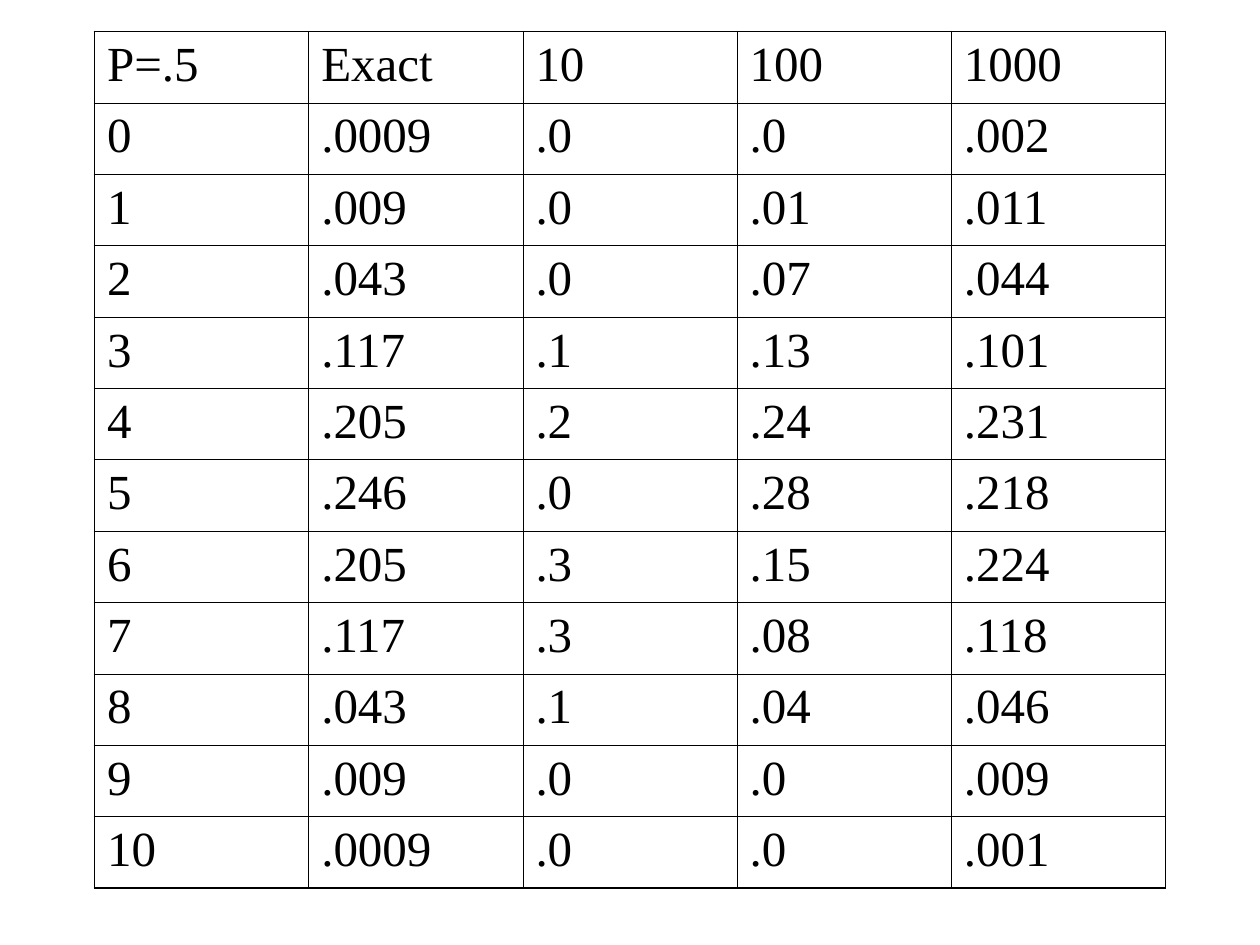
from lxml import etree
from pptx import Presentation
from pptx.dml.color import RGBColor
from pptx.enum.text import MSO_ANCHOR, PP_ALIGN
from pptx.oxml.ns import qn
from pptx.util import Inches, Pt

BLACK = RGBColor(0x00, 0x00, 0x00)
LEFT = PP_ALIGN.LEFT
TOP = MSO_ANCHOR.TOP
FONT = "Times New Roman"
THIN, THICK = 0.45, 1.08

HEADER = ["P=.5", "Exact", "10", "100", "1000"]
EXACT = [".0009", ".009", ".043", ".117", ".205", ".246",
         ".205", ".117", ".043", ".009", ".0009"]
TRIALS_10 = [".0", ".0", ".0", ".1", ".2", ".0", ".3", ".3", ".1", ".0", ".0"]
TRIALS_100 = [".0", ".01", ".07", ".13", ".24", ".28",
              ".15", ".08", ".04", ".0", ".0"]
TRIALS_1000 = [".002", ".011", ".044", ".101", ".231", ".218",
               ".224", ".118", ".046", ".009", ".001"]
SUCCESSES = [str(n) for n in range(len(EXACT))]
ROWS = [HEADER, *zip(SUCCESSES, EXACT, TRIALS_10, TRIALS_100, TRIALS_1000)]


def write(tf, text, size=28, font=FONT, color=BLACK, align=LEFT):
    p = tf.paragraphs[0]
    p.alignment = align
    r = p.add_run()
    r.text = text
    r.font.size = Pt(size)
    r.font.name = font
    r.font.color.rgb = color


class Deck:
    def __init__(self, prs, line=BLACK):
        self.s = prs.slides.add_slide(prs.slide_layouts[6])
        self.line = line

    def border(self, cell, side, width):
        ln = etree.SubElement(cell._tc.get_or_add_tcPr(), qn(f"a:ln{side}"),
                              w=str(Pt(width)))
        fill = etree.SubElement(ln, qn("a:solidFill"))
        etree.SubElement(fill, qn("a:srgbClr"), val=str(self.line))

    def table(self, rows, x, y, w, h):
        n_rows, n_cols = len(rows), len(rows[0])
        sp = self.s.shapes.add_table(n_rows, n_cols, Inches(x), Inches(y),
                                     Inches(w), Inches(h))
        table = sp.table
        table.first_row = False
        table.horz_banding = False
        for i, row in enumerate(rows):
            for j, text in enumerate(row):
                cell = table.cell(i, j)
                cell.vertical_anchor = TOP
                outer = {"L": j == 0, "R": j == n_cols - 1,
                         "T": i == 0, "B": i == n_rows - 1}
                for side, is_outer in outer.items():
                    self.border(cell, side, THICK if is_outer else THIN)
                cell.fill.background()
                write(cell.text_frame, text)


def main():
    prs = Presentation()
    prs.slide_width = Inches(10)
    prs.slide_height = Inches(7.5)
    deck = Deck(prs)
    deck.table(ROWS, 0.75, 0.25, 8.5, 6.8)
    prs.save("out.pptx")


if __name__ == "__main__":
    main()
